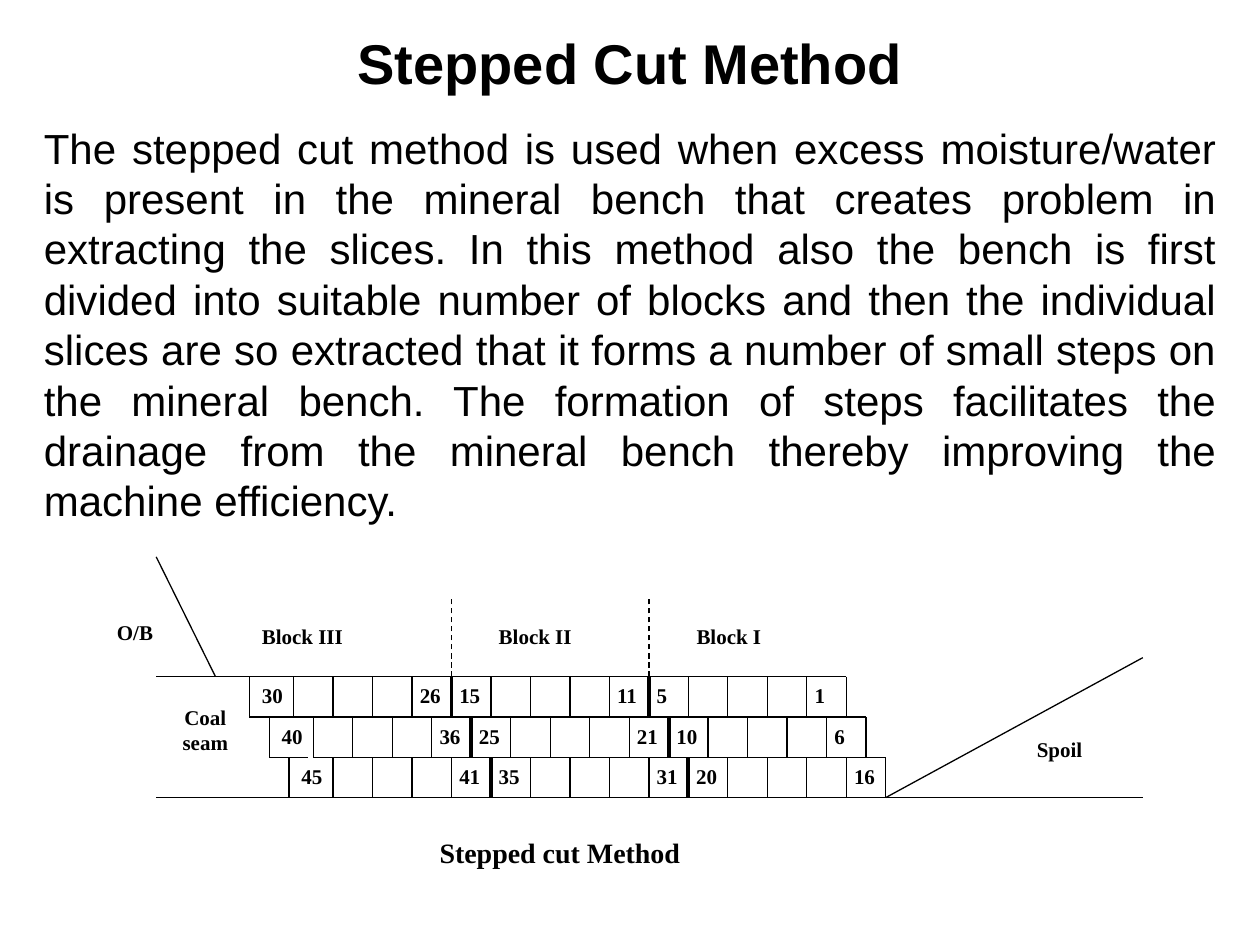
from lxml import etree
from pptx import Presentation
from pptx import util as u
from pptx.dml.color import RGBColor
from pptx.enum import dml, shapes, text
from pptx.oxml import ns

BLACK = RGBColor(0, 0, 0)
WHITE = RGBColor(255, 255, 255)
SANS, SERIF = "Arial", "Times New Roman"

BODY = (
    "The stepped cut method is used when excess moisture/water is present in "
    "the mineral bench that creates problem in extracting the slices. In this "
    "method also the bench is first divided into suitable number of blocks and "
    "then the individual slices are so extracted that it forms a number of "
    "small steps on the mineral bench. The formation of steps facilitates the "
    "drainage from the mineral bench thereby improving the machine efficiency."
)

# Numbered slices of each step, left to right, and the cells they sit in
SLICE_NUMBERS = [
    (30, 26, 15, 11, 5, 1),
    (40, 36, 25, 21, 10, 6),
    (45, 41, 35, 31, 20, 16),
]
NUMBERED_CELLS = (0, 4, 5, 9, 10, 14)
CELL_WIDTH = 4.7 / 15
STEP_SHIFT = CELL_WIDTH / 2
FIRST_CELL = 0.35  # the leftmost slice is a little wider
STEP_HEIGHT = 0.32
BLOCK_WALLS = (5, 10)


def add_text(page, left, top, width, height, words, size=12, font=SERIF,
             bold=True, align=text.PP_ALIGN.LEFT,
             anchor=text.MSO_ANCHOR.TOP, fill=None):
    box = page.shapes.add_textbox(u.Inches(left), u.Inches(top),
                                  u.Inches(width), u.Inches(height))
    if fill is not None:
        box.fill.solid()
        box.fill.fore_color.rgb = fill
    frame = box.text_frame
    frame.word_wrap = True
    frame.vertical_anchor = anchor
    frame.text = words
    for para in frame.paragraphs:
        para.alignment = align
        para.font.size = u.Pt(size)
        para.font.name = font
        para.font.bold = bold
        para.font.color.rgb = BLACK
    return box


def add_line(page, x1, y1, x2, y2, weight=0.75, dashed=False):
    line = page.shapes.add_connector(
        shapes.MSO_CONNECTOR.STRAIGHT,
        u.Inches(x1), u.Inches(y1), u.Inches(x2), u.Inches(y2))
    line.line.color.rgb = BLACK
    line.line.width = u.Pt(weight)
    if dashed:
        line.line.dash_style = dml.MSO_LINE.DASH
    properties = line._element.find(ns.qn("p:spPr"))
    etree.SubElement(properties, ns.qn("a:effectLst"))


def add_step(page, left, top, numbers):
    """One row of slices: numbers first, then the walls between them."""
    for cell, number in zip(NUMBERED_CELLS, numbers):
        width = 0.47 if number > 9 else 0.31
        add_text(page, left + cell * CELL_WIDTH, top, width, STEP_HEIGHT,
                 str(number), fill=WHITE)
    add_line(page, left, top, left, top + STEP_HEIGHT)
    for wall in range(15):
        x = left + FIRST_CELL + wall * CELL_WIDTH
        weight = 2.25 if wall - 4 in (0, 5) else 0.75
        add_line(page, x, top, x, top + STEP_HEIGHT, weight)


def add_bench(page, left, top, width):
    """Cross-section of the bench; top is the upper end of the slope."""
    seam_top = top + 0.95
    floor = seam_top + 3 * STEP_HEIGHT
    bench_left = left + 0.74
    bench_right = bench_left + FIRST_CELL + 14 * CELL_WIDTH
    toe = bench_right + 2 * STEP_SHIFT

    # Overburden slope and its name
    add_text(page, left - 0.41, top + 0.45, 0.8, 0.43, "O/B", fill=WHITE)
    add_line(page, left + 0.47, seam_top, left, top)

    # Steps, each moved half a slice to the right
    for row, numbers in enumerate(SLICE_NUMBERS):
        add_step(page, bench_left + row * STEP_SHIFT,
                 seam_top + row * STEP_HEIGHT, numbers)

    # Roof, step floors and seam floor
    second, third = seam_top + STEP_HEIGHT, seam_top + 2 * STEP_HEIGHT
    second_left = bench_left + STEP_SHIFT
    add_line(page, left, seam_top, bench_right, seam_top)
    add_line(page, bench_left, second, bench_right + STEP_SHIFT, second)
    add_line(page, second_left, third, second_left + 0.31, third)
    add_line(page, second_left + FIRST_CELL, third, toe, third)
    add_line(page, left, floor, left + width, floor)

    # Spoil heap and coal seam
    add_line(page, toe, floor, left + width, floor - 1.11)
    add_text(page, toe + 1.1, floor - 0.53, 0.95, 0.37, "Spoil", fill=WHITE)
    add_text(page, left - 0.16, seam_top + 0.17, 1.1, 0.48, "Coal\nseam",
             align=text.PP_ALIGN.CENTER)

    # Blocks and the dashed limits between them
    for cells in BLOCK_WALLS:
        x = bench_right - cells * CELL_WIDTH
        add_line(page, x, seam_top, x, seam_top - 0.63, dashed=True)
    for name, offset, label_width in (("Block III", 0, 1.36),
                                      ("Block II", 1.88, 1.25),
                                      ("Block I", 3.45, 0.94)):
        add_text(page, bench_left + offset, seam_top - 0.47, label_width, 0.37,
                 name, fill=WHITE)

    # Caption
    add_text(page, left + 2.15, floor + 0.25, 3.18, 0.59,
             "Stepped cut Method", size=16, fill=WHITE)


def main():
    deck = Presentation()
    deck.slide_width, deck.slide_height = u.Inches(10), u.Inches(7.5)
    page = deck.slides.add_slide(deck.slide_layouts[6])
    add_text(page, 0.75, 0.16, 8.5, 0.67, "Stepped Cut Method", size=32,
             font=SANS, align=text.PP_ALIGN.CENTER,
             anchor=text.MSO_ANCHOR.MIDDLE)
    add_text(page, 0.25, 0.92, 9.5, 3.3, BODY, size=24, font=SANS, bold=False,
             align=text.PP_ALIGN.JUSTIFY)
    add_bench(page, 1.24, 4.42, 7.83)
    deck.save("out.pptx")


if __name__ == "__main__":
    main()
